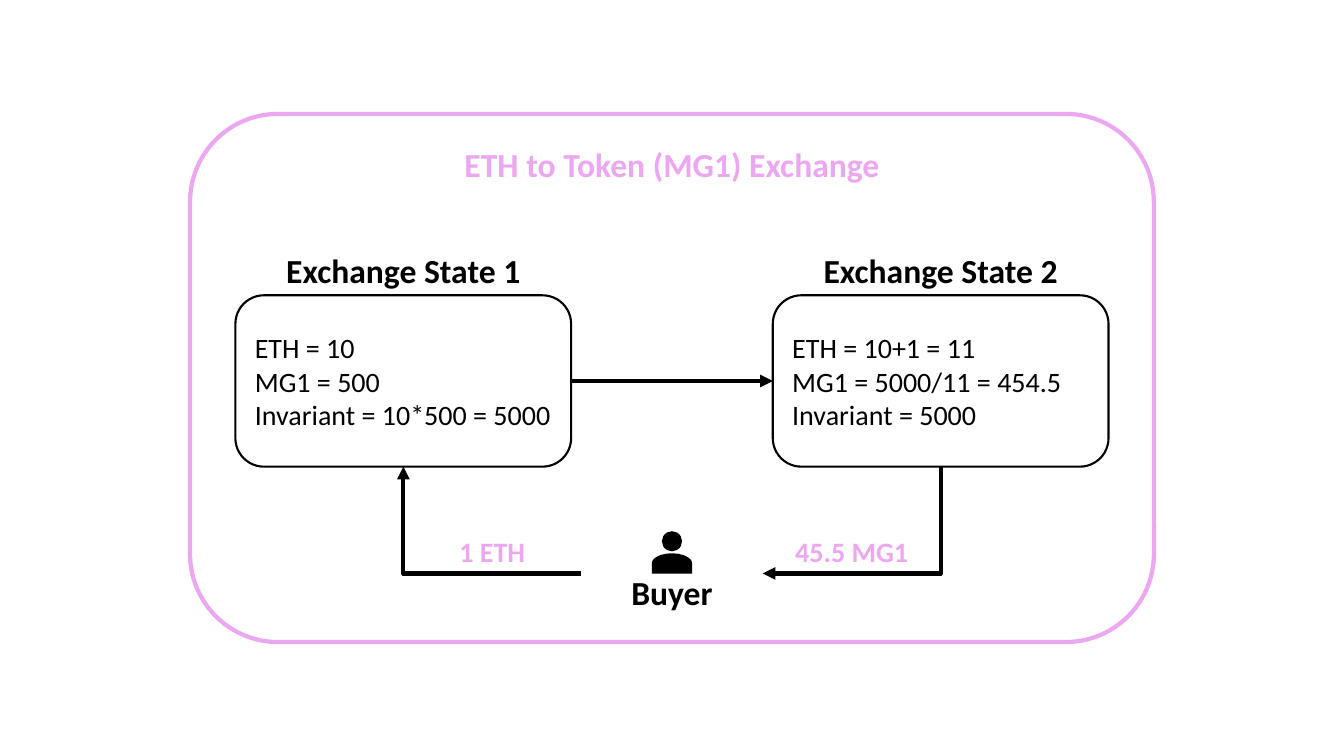
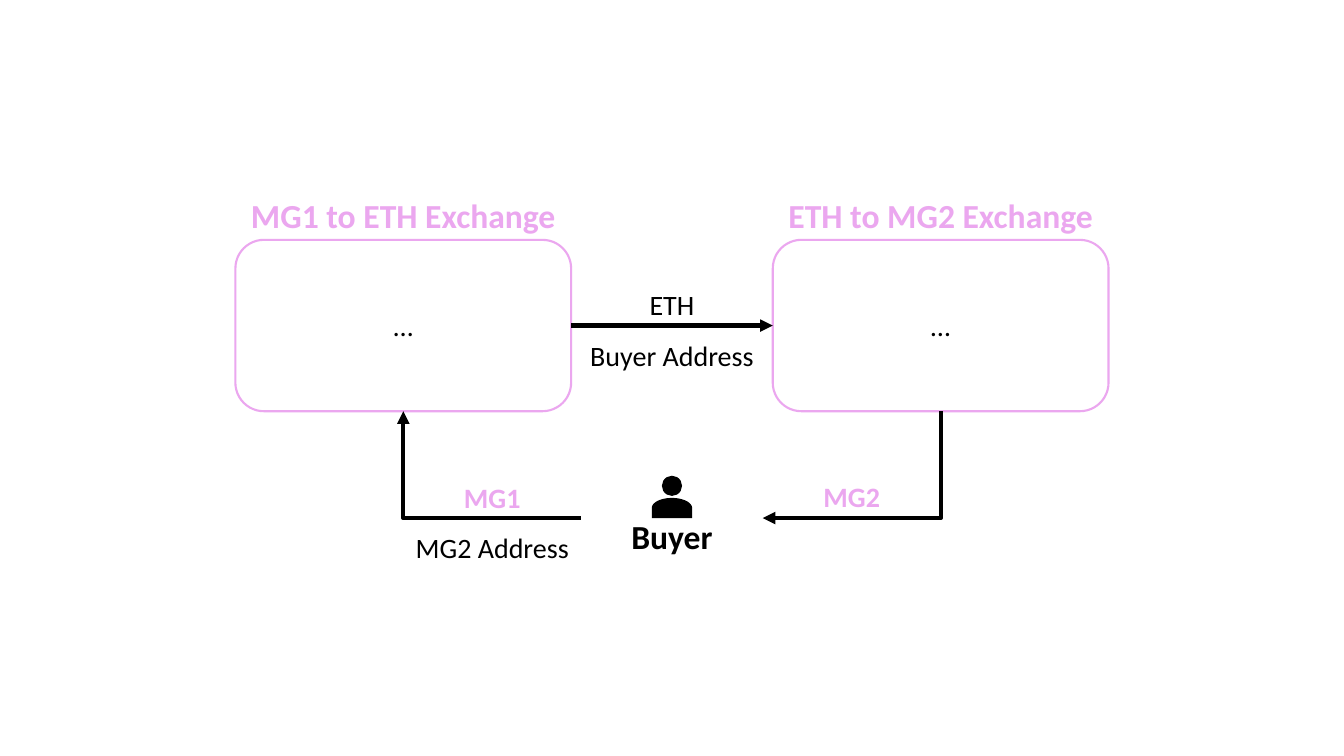
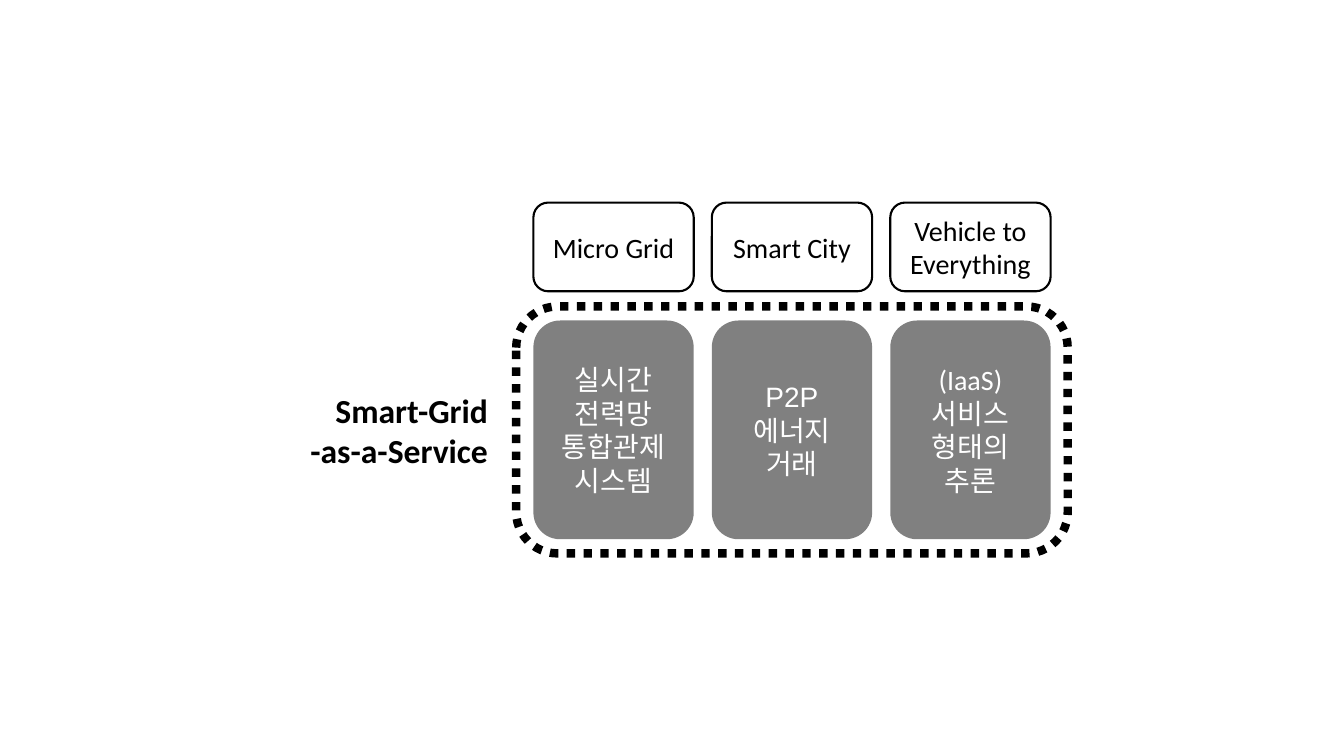
from math import cos, pi, sin

from lxml.etree import SubElement
from pptx import Presentation
from pptx.dml.color import RGBColor
from pptx.enum.dml import MSO_LINE
from pptx.enum.shapes import MSO_CONNECTOR, MSO_SHAPE
from pptx.enum.text import MSO_ANCHOR, MSO_AUTO_SIZE, PP_ALIGN
from pptx.oxml.ns import qn
from pptx.util import Inches, Pt

BLACK = RGBColor(0x00, 0x00, 0x00)
WHITE = RGBColor(0xFF, 0xFF, 0xFF)
PINK = RGBColor(0xEB, 0xA7, 0xEF)
GRAY = RGBColor(0x80, 0x80, 0x80)

LATIN, KOREAN = "Calibri", "Arial"
HEADING_SIZE, BODY_SIZE = 24, 20
HEADING_H, LABEL_H, PAIR_H = 0.5, 0.44, 1.06

# Exchange diagram: two boxes around the slide's centre, the buyer between and below.
WIDTH, HEIGHT = 13.33, 7.5
CENTRE = WIDTH / 2
BOX_W, BOX_H, BOX_GAP = 3.33, 1.7, 2.0
BOX_LEFTS = (CENTRE - BOX_GAP / 2 - BOX_W, CENTRE + BOX_GAP / 2)
BUYER_W = 1.8
FLOW_DROP = 2.76  # from the top of the boxes to the buyer's arrows

# Service diagram: three columns.
SERVICE_LEFT, SERVICE_W, SERVICE_PITCH = 5.29, 1.59, 1.77
SERVICE_TOP, SERVICE_H = 3.18, 2.17
FIELD_TOP, FIELD_H = 2.01, 0.88
FRAME_PAD_X, FRAME_PAD_Y = 0.17, 0.14


def inches(*lengths):
    return [Inches(length) for length in lengths]


def write(shape, paragraphs, size=BODY_SIZE, color=BLACK, font=LATIN, bold=False,
          align=PP_ALIGN.CENTER, spacing=None, margin_x=0.11):
    frame = shape.text_frame
    frame.word_wrap = True
    frame.auto_size = MSO_AUTO_SIZE.NONE
    frame.vertical_anchor = MSO_ANCHOR.MIDDLE
    frame.margin_left = frame.margin_right = Inches(margin_x)
    frame.margin_top = frame.margin_bottom = Inches(0.05)
    for number, words in enumerate(paragraphs):
        paragraph = frame.add_paragraph() if number else frame.paragraphs[0]
        paragraph.text = words
        paragraph.alignment = align
        paragraph.line_spacing = spacing
        for run in paragraph.runs:
            run.font.name = font
            run.font.size = Pt(size)
            run.font.bold = bold
            run.font.color.rgb = color


def add_label(slide, box, *paragraphs, **style):
    label = slide.shapes.add_textbox(*inches(*box))
    write(label, paragraphs, margin_x=0, **style)
    return label


def add_title(slide, box, words, **style):
    title = slide.shapes.title
    title.left, title.top, title.width, title.height = inches(*box)
    write(title, [words], size=HEADING_SIZE, bold=True, **style)


def paint(shape, fill=None, line=None, line_width=1.5):
    shape.shadow.inherit = False
    if fill is None:
        shape.fill.background()
    else:
        shape.fill.solid()
        shape.fill.fore_color.rgb = fill
    if line is None:
        shape.line.fill.background()
    else:
        shape.line.color.rgb = line
        shape.line.width = Pt(line_width)


def add_card(slide, box, paragraphs=(), fill=None, line=None, line_width=1.5, **style):
    card = slide.shapes.add_shape(MSO_SHAPE.ROUNDED_RECTANGLE, *inches(*box))
    paint(card, fill, line, line_width)
    write(card, paragraphs, **style)
    return card


def style_arrow(connector, arrow_end):
    """Draw a thick black line with a triangle at its headEnd or tailEnd."""
    connector.line.color.rgb = BLACK
    connector.line.width = Pt(3)
    properties = connector._element.spPr
    SubElement(properties.find(qn("a:ln")), qn(f"a:{arrow_end}"), type="triangle")
    SubElement(properties, qn("a:effectLst"))


def add_arrow_between(slide, source, target):
    arrow = slide.shapes.add_connector(MSO_CONNECTOR.STRAIGHT, 0, 0, 0, 0)
    arrow.begin_connect(source, 3)
    arrow.end_connect(target, 1)
    style_arrow(arrow, "tailEnd")


def add_elbow(slide, box_x, box_bottom, buyer_x, buyer_y, arrow_end):
    """Go down from a box, then sideways to the buyer, as a turned one-bend connector."""
    drop, run = buyer_y - box_bottom, abs(buyer_x - box_x)
    left = (box_x + buyer_x - drop) / 2
    top = (box_bottom + buyer_y - run) / 2
    elbow = slide.shapes.add_connector(
        MSO_CONNECTOR.ELBOW, *inches(left, top, left + drop, top + run))
    properties = elbow._element.spPr
    properties.find(qn("a:prstGeom")).set("prst", "bentConnector2")
    transform = properties.find(qn("a:xfrm"))
    to_right = buyer_x > box_x
    transform.set("rot", str((270 if to_right else 90) * 60000))
    if to_right:
        transform.set("flipH", "1")
    style_arrow(elbow, arrow_end)


def add_buyer(slide, flow_y):
    """Draw a person standing at the height of the arrows, with the name below."""
    radius, steps = 0.2, 24
    rim_y = flow_y - radius / 2
    arc = [(CENTRE - radius * cos(pi * step / steps),
            rim_y - radius / 2 * sin(pi * step / steps)) for step in range(steps + 1)]
    outline = [inches(*point) for point in arc + [(CENTRE + radius, flow_y)]]
    builder = slide.shapes.build_freeform(*inches(CENTRE - radius, flow_y))
    builder.add_line_segments(outline, close=True)
    shoulders = builder.convert_to_shape()
    head = slide.shapes.add_shape(
        MSO_SHAPE.OVAL, *inches(CENTRE - radius / 2, flow_y - 0.42, radius, radius))
    for part in (shoulders, head):
        paint(part, BLACK)
    add_label(slide, (CENTRE - BUYER_W / 2, flow_y - 0.07, BUYER_W, HEADING_H), "Buyer",
              size=HEADING_SIZE, bold=True)


def add_exchange(slide, top, headings, contents, heading_color, line, align):
    """Draw both boxes, the arrows and the buyer; return the height of the buyer's arrows."""
    boxes = []
    for left, heading, content in zip(BOX_LEFTS, headings, contents):
        boxes.append(add_card(slide, (left, top, BOX_W, BOX_H), content,
                              WHITE, line, align=align))
        add_label(slide, (left, top - HEADING_H, BOX_W, HEADING_H), heading,
                  size=HEADING_SIZE, color=heading_color, bold=True)
    add_arrow_between(slide, *boxes)
    flow_y = top + FLOW_DROP
    add_buyer(slide, flow_y)
    for left, side, arrow_end in zip(BOX_LEFTS, (-1, 1), ("headEnd", "tailEnd")):
        add_elbow(slide, left + BOX_W / 2, top + BOX_H,
                  CENTRE + side * BUYER_W / 2, flow_y, arrow_end)
    return flow_y


def flow_box(side, top, height):
    """Place a label along the buyer's arrow on the left (-1) or right (1)."""
    run = (BOX_GAP + BOX_W - BUYER_W) / 2
    middle = CENTRE + side * (BUYER_W + run) / 2
    return middle - run / 2, top, run, height


def add_flow_label(slide, side, flow_y, words):
    add_label(slide, flow_box(side, flow_y - LABEL_H, LABEL_H), words, color=PINK, bold=True)


def add_pair_label(slide, box, above, below):
    """Write one line above an arrow and one below it."""
    return add_label(slide, box, above, below, spacing=1.5)


def build_token_exchange(slide):
    add_card(slide, (CENTRE - 4.78, 1.13, 9.56, 5.24), line=PINK, line_width=3)
    add_title(slide, (CENTRE - 2.5, 1.38, 5, HEADING_H),
              "ETH to Token (MG1) Exchange", color=PINK)
    flow_y = add_exchange(
        slide, 2.93, ("Exchange State 1", "Exchange State 2"),
        (("ETH = 10", "MG1 = 500", "Invariant = 10*500 = 5000"),
         ("ETH = 10+1 = 11", "MG1 = 5000/11 = 454.5", "Invariant = 5000")),
        BLACK, BLACK, PP_ALIGN.LEFT)
    add_flow_label(slide, -1, flow_y, "1 ETH")
    add_flow_label(slide, 1, flow_y, "45.5 MG1")


def build_two_exchanges(slide):
    top = 2.38
    flow_y = add_exchange(
        slide, top, ("MG1 to ETH Exchange", "ETH to MG2 Exchange"),
        (("…",), ("…",)), PINK, PINK, PP_ALIGN.CENTER)
    add_flow_label(slide, 1, flow_y, "MG2")
    payment = add_pair_label(slide, flow_box(-1, flow_y - 0.57, PAIR_H), "MG1", "MG2 Address")
    token = payment.text_frame.paragraphs[0].runs[0].font
    token.bold = True
    token.color.rgb = PINK
    add_pair_label(slide, (CENTRE - BOX_GAP / 2, top + 0.28, BOX_GAP, PAIR_H),
                   "ETH", "Buyer Address")


def build_services(slide):
    add_title(slide, (2.74, 3.81, 2.21, 0.91), "Smart-Grid\n-as-a-Service",
              align=PP_ALIGN.RIGHT)
    columns = (
        ("Micro Grid", ["실시간\n전력망\n통합관제\n시스템"]),
        ("Smart City", ["P2P\n에너지\n거래"]),
        ("Vehicle to\nEverything", ["(IaaS)", "서비스\n형태의\n추론"]),
    )
    frame_w = (len(columns) - 1) * SERVICE_PITCH + SERVICE_W + 2 * FRAME_PAD_X
    frame = add_card(slide, (SERVICE_LEFT - FRAME_PAD_X, SERVICE_TOP - FRAME_PAD_Y,
                             frame_w, SERVICE_H + 2 * FRAME_PAD_Y), line=BLACK, line_width=6)
    frame.line.dash_style = MSO_LINE.ROUND_DOT
    for number, (field, service) in enumerate(columns):
        left = SERVICE_LEFT + number * SERVICE_PITCH
        card = add_card(slide, (left, SERVICE_TOP, SERVICE_W, SERVICE_H), service, GRAY,
                        color=WHITE, font=KOREAN)
        add_card(slide, (left, FIELD_TOP, SERVICE_W, FIELD_H), [field], WHITE, BLACK)
    card.text_frame.paragraphs[0].runs[0].font.name = LATIN


def main():
    deck = Presentation()
    deck.slide_width, deck.slide_height = inches(WIDTH, HEIGHT)
    title_only, blank = deck.slide_layouts[5], deck.slide_layouts[6]
    for layout, build in ((title_only, build_token_exchange),
                          (blank, build_two_exchanges),
                          (title_only, build_services)):
        build(deck.slides.add_slide(layout))
    deck.save("out.pptx")


if __name__ == "__main__":
    main()
